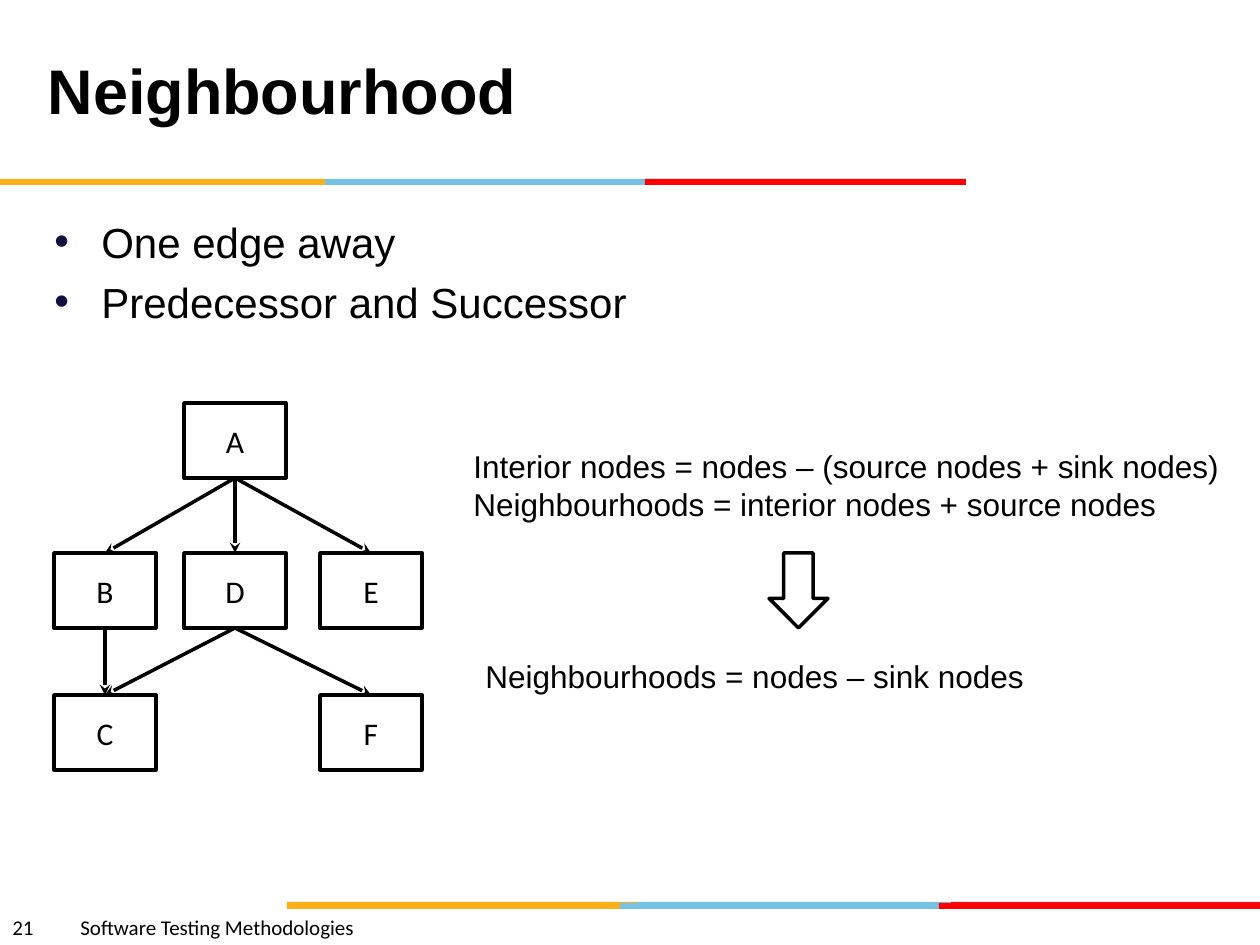
from itertools import pairwise

from lxml.etree import SubElement
from pptx import Presentation
from pptx.dml.color import RGBColor
from pptx.enum.shapes import MSO_CONNECTOR as CONN, MSO_SHAPE as SHAPE
from pptx.enum.text import MSO_ANCHOR as ANCHOR, PP_ALIGN as ALIGN
from pptx.oxml.ns import qn
from pptx.util import Pt

SCALE = 914400 / 126
COLORS = {
    "black": "000000", "white": "FFFFFF", "yellow": "FCB017", "blue": "76C2E5",
    "red": "FF0000", "dark_red": "E31C24", "bullet": "101141",
}
BARS = [
    (902, (287, 638, 951, 1260), ("yellow", "blue", "dark_red")),
    (903, (287, 620, 939, 1260), ("yellow", "blue", "red")),
    (179, (0, 325, 645, 966), ("yellow", "blue", "red")),
]
COLUMNS = (54, 184, 320)
ROWS = (403, 553, 695)
NODES = {"A": (1, 0), "B": (0, 1), "D": (1, 1), "E": (2, 1), "C": (0, 2), "F": (2, 2)}
EDGES = ("AB", "AD", "AE", "BC", "DC", "DF")


def px(*values):
    """Turn pixel lengths into EMU."""
    return [round(v * SCALE) for v in values]


def color(name):
    """Look up a colour by name."""
    return RGBColor.from_string(COLORS[name])


def style_text(tf, size, font="Arial", bold=False):
    """Format every run of a text frame."""
    for p in tf.paragraphs:
        for r in p.runs:
            r.font.size, r.font.name, r.font.bold = Pt(size), font, bold
            r.font.color.rgb = color("black")


def add_title(s, text, box):
    """Fill and place the title placeholder."""
    sp = s.shapes.title
    sp.left, sp.top, sp.width, sp.height = px(*box)
    tf = sp.text_frame
    tf.text = text
    tf.vertical_anchor = ANCHOR.MIDDLE
    tf.paragraphs[0].alignment = ALIGN.LEFT
    style_text(tf, 36, bold=True)


def add_text(s, text, box, size, font="Arial", wrap=False):
    """Add a text box and return its text frame."""
    tf = s.shapes.add_textbox(*px(*box)).text_frame
    tf.word_wrap = wrap
    tf.text = text
    style_text(tf, size, font)
    return tf


def add_bullets(s, items, box):
    """Add a bulleted list with hanging indents."""
    tf = add_text(s, "\n".join(items), box, 24, wrap=True)
    indent, = px(47)
    for i, p in enumerate(tf.paragraphs):
        p.space_before = Pt(5.5 if i else 0)
        pPr = p._p.get_or_add_pPr()
        pPr.set("marL", str(indent))
        pPr.set("indent", str(-indent))
        clr = SubElement(pPr, qn("a:buClr"))
        SubElement(clr, qn("a:srgbClr"), val=COLORS["bullet"])
        SubElement(pPr, qn("a:buFont"), typeface="Arial")
        SubElement(pPr, qn("a:buChar"), char="•")


def add_footer(s, number, text):
    """Add the slide number and course name, parted by a tab stop."""
    tf = add_text(s, f"{number}\t{text}", (0, 908, 630, 38), 12, "Calibri", True)
    tabs = SubElement(tf.paragraphs[0]._p.get_or_add_pPr(), qn("a:tabLst"))
    SubElement(tabs, qn("a:tab"), pos=str(px(68)[0]), algn="l")


def add_bar(s, y, edges, names):
    """Add a strip of adjoining coloured rectangles."""
    for (left, right), name in zip(pairwise(edges), names):
        sp = add_outlined(s, SHAPE.RECTANGLE, (left, y, right - left, 6))
        sp.fill.fore_color.rgb = color(name)
        sp.line.fill.background()


def add_outlined(s, kind, box):
    """Add a white shape with a black outline."""
    sp = s.shapes.add_shape(kind, *px(*box))
    sp.shadow.inherit = False
    sp.fill.solid()
    sp.fill.fore_color.rgb = color("white")
    sp.line.color.rgb = color("black")
    sp.line.width = Pt(2)
    return sp


def add_node(s, name, col, row):
    """Add a labelled graph node at a grid place."""
    sp = add_outlined(s, SHAPE.RECTANGLE, (COLUMNS[col], ROWS[row], 102, 75))
    tf = sp.text_frame
    tf.text = name
    tf.vertical_anchor = ANCHOR.MIDDLE
    tf.paragraphs[0].alignment = ALIGN.CENTER
    style_text(tf, 18, "Calibri")
    return sp


def add_edge(s, parent, child):
    """Add an arrow from the bottom of one node to the top of another."""
    cn = s.shapes.add_connector(CONN.STRAIGHT, 0, 0, 0, 0)
    cn.begin_connect(parent, 2)
    cn.end_connect(child, 0)
    cn.line.color.rgb = color("black")
    cn.line.width = Pt(2)
    SubElement(cn.line._get_or_add_ln(), qn("a:tailEnd"), type="stealth")
    SubElement(cn._element.spPr, qn("a:effectLst"))


def main():
    """Build the slide."""
    prs = Presentation()
    prs.slide_width, prs.slide_height = px(1260, 945)
    s = prs.slides.add_slide(prs.slide_layouts[5])
    for bar in BARS:
        add_bar(s, *bar)
    add_footer(s, 21, "Software Testing Methodologies")
    add_title(s, "Neighbourhood", (35, 10, 863, 158))
    add_bullets(s, ["One edge away", "Predecessor and Successor"], (42, 210, 1134, 619))
    nodes = {name: add_node(s, name, *place) for name, place in NODES.items()}
    for parent, child in EDGES:
        add_edge(s, nodes[parent], nodes[child])
    add_text(s, "Interior nodes = nodes – (source nodes + sink nodes)\n"
                "Neighbourhoods = interior nodes + source nodes", (461, 441, 779, 89), 18)
    add_outlined(s, SHAPE.DOWN_ARROW, (769, 553, 59, 75))
    add_text(s, "Neighbourhoods = nodes – sink nodes", (473, 651, 568, 50), 18)
    prs.save("out.pptx")


if __name__ == "__main__":
    main()
